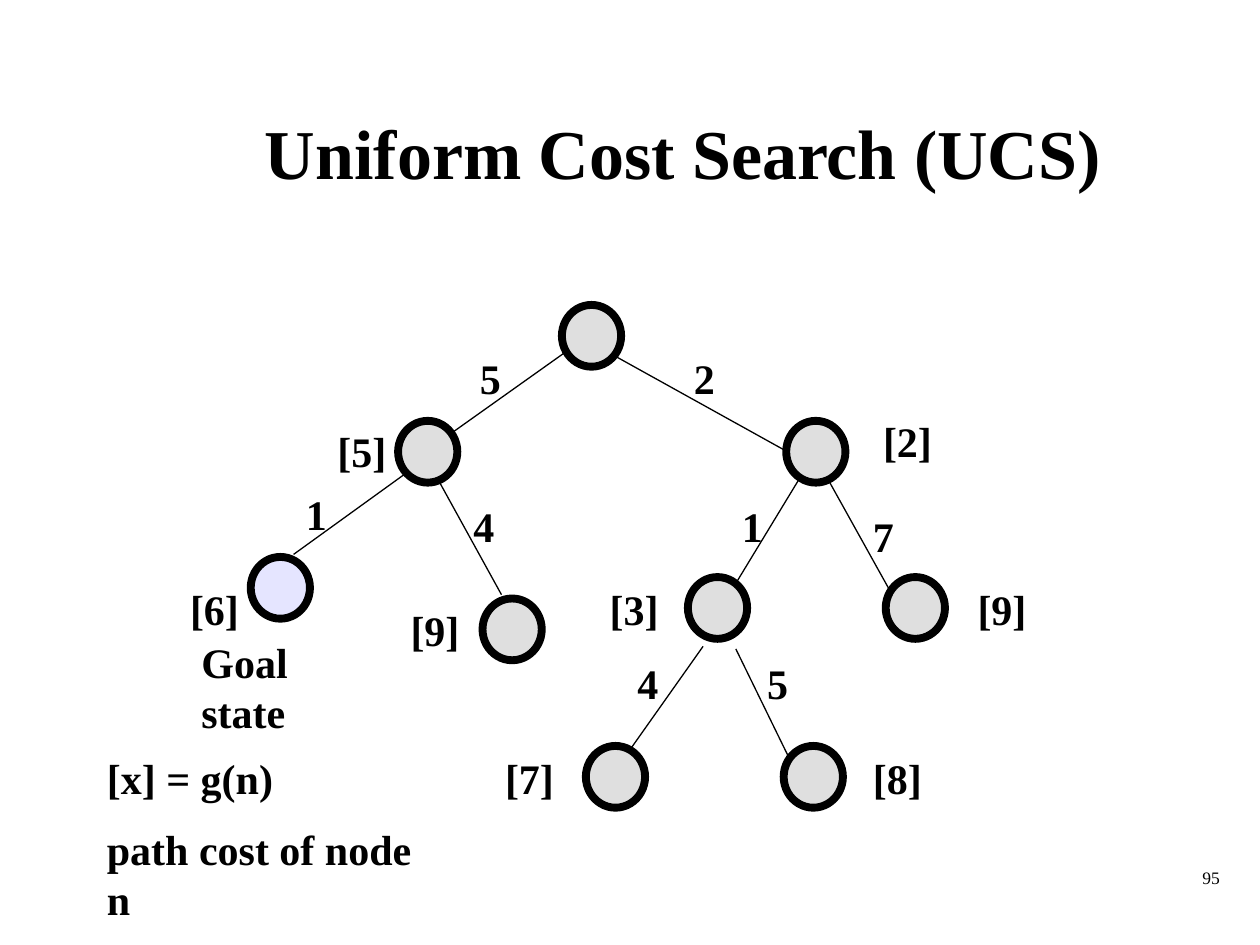
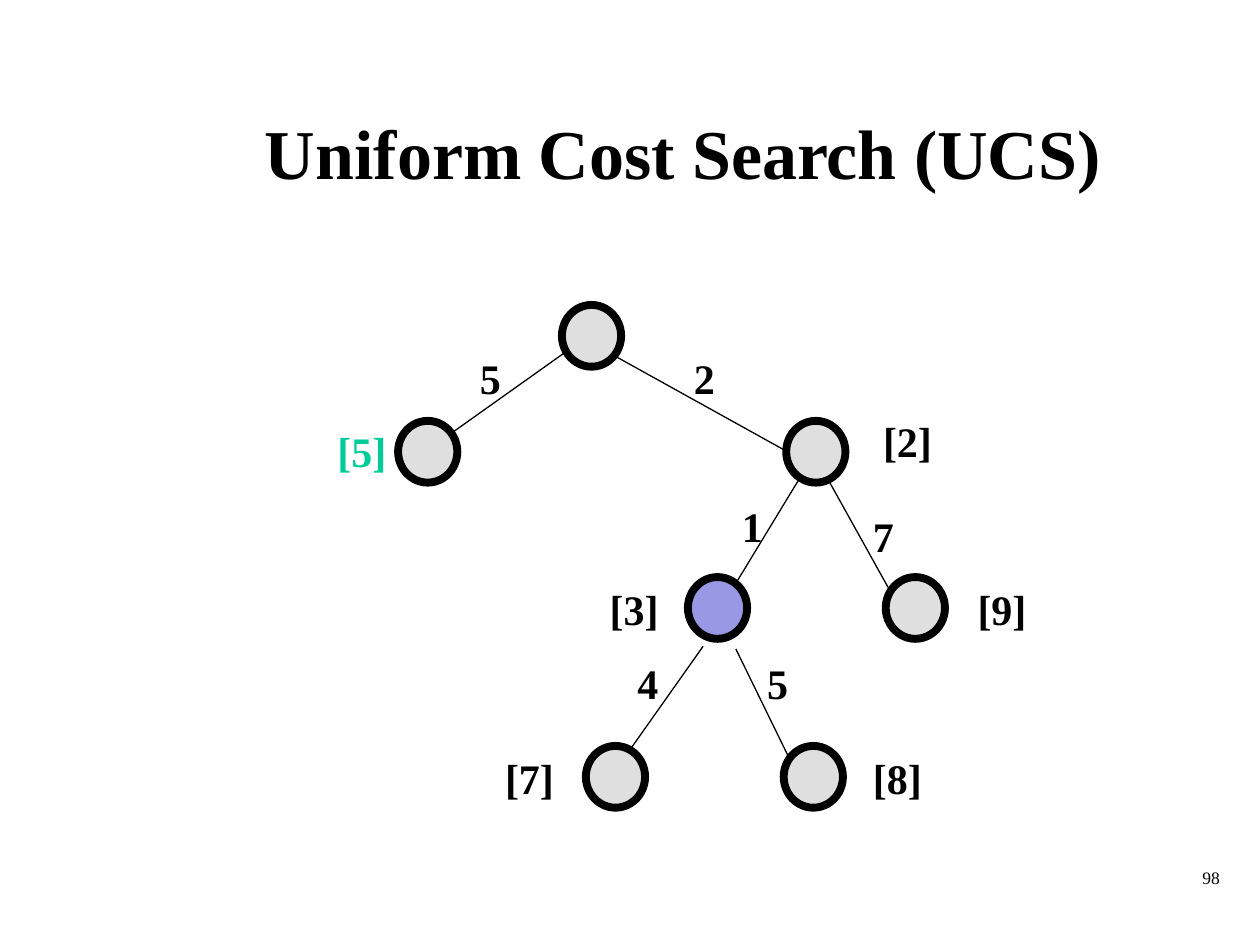
from lxml.etree import SubElement
from pptx import Presentation
from pptx.dml.color import RGBColor
from pptx.enum.shapes import MSO_CONNECTOR, MSO_SHAPE
from pptx.enum.text import MSO_ANCHOR, MSO_AUTO_SIZE, PP_ALIGN
from pptx.oxml.ns import qn
from pptx.util import Emu, Pt

PX = 9144
BLACK = RGBColor(0x00, 0x00, 0x00)
GREY = RGBColor(0xC0, 0xC0, 0xC0)
LAVENDER = RGBColor(0xCC, 0xCC, 0xFF)
BLUE = RGBColor(0x33, 0x33, 0xCC)
GREEN = RGBColor(0x00, 0xCC, 0x99)

NODE_W, NODE_H = 47, 49
COST_W, PATH_W, LABEL_H = 37, 59, 50
TITLE = "Uniform Cost Search (UCS)"
TITLE_FONT = {"name": "Times New Roman", "size": Pt(40), "bold": True}
LABEL_FONT = {"name": "Times New Roman", "size": Pt(24), "bold": True}
NUMBER_FONT = {"name": "Times New Roman", "size": Pt(10), "bold": False}

SHARED_NODES = {
    "root": (446, 242), "left": (316, 334), "right": (624, 334),
    "right-right": (703, 458), "right-left": (546, 458),
    "leaf 8": (622, 592), "leaf 7": (465, 592),
}
SHARED_EDGES = [
    (448, 280, 358, 344), (635, 379, 584, 463), (658, 382, 707, 470),
    (487, 282, 624, 358), (558, 513, 500, 595), (584, 515, 626, 601),
]
SHARED_COSTS = [
    ("2", 541, 275), ("5", 371, 275), ("1", 579, 392),
    ("7", 683, 400), ("4", 496, 517), ("5", 599, 517),
]
SHARED_PATHS = [
    ("[5]", 258, 333), ("[2]", 691, 325), ("[9]", 766, 458),
    ("[3]", 474, 458), ("[7]", 391, 592), ("[8]", 683, 592),
]
LEFT_NODES = {"goal": (199, 442), "left-right": (383, 475)}
LEFT_EDGES = [(323, 375, 233, 440), (349, 383, 398, 472)]
LEFT_COSTS = [("1", 233, 383), ("4", 366, 392)]
LEFT_PATHS = [("[9]", 316, 475), ("[6]", 141, 458)]


class Deck:
    def __init__(self):
        self.prs = Presentation()
        self.prs.slide_width = self.px(1000)
        self.prs.slide_height = self.px(750)
        self.s = None

    @staticmethod
    def px(n):
        return Emu(n * PX)

    def box(self, *lengths):
        return [self.px(n) for n in lengths]

    def fill_text(self, tf, lines, font, color=BLACK, align=PP_ALIGN.LEFT, gap=0):
        tf.auto_size = MSO_AUTO_SIZE.NONE
        for i, line in enumerate(lines):
            p = tf.paragraphs[0] if i == 0 else tf.add_paragraph()
            p.alignment = align
            if i:
                p.space_before = Pt(gap)
            r = p.add_run()
            r.text = line
            for key, value in font.items():
                setattr(r.font, key, value)
            r.font.color.rgb = color

    def slide(self, number):
        self.s = self.prs.slides.add_slide(self.prs.slide_layouts[5])
        sp = self.s.shapes.title
        sp.left, sp.top, sp.width, sp.height = self.box(117, 58, 850, 125)
        sp.text_frame.vertical_anchor = MSO_ANCHOR.MIDDLE
        self.fill_text(sp.text_frame, [TITLE], TITLE_FONT, align=PP_ALIGN.CENTER)
        self.text([number], 770, 683, 208, 50, font=NUMBER_FONT, align=PP_ALIGN.RIGHT)

    def text(self, lines, x, y, w, h, wrap=True, font=LABEL_FONT, **style):
        tf = self.s.shapes.add_textbox(*self.box(x, y, w, h)).text_frame
        tf.word_wrap = wrap
        self.fill_text(tf, lines, font, **style)

    def label(self, text, x, y, w, color=BLACK):
        self.text([text], x, y, w, LABEL_H, wrap=False, color=color)

    def node(self, x, y, color=GREY):
        sp = self.s.shapes.add_shape(MSO_SHAPE.OVAL, *self.box(x, y, NODE_W, NODE_H))
        sp.shadow.inherit = False
        sp.fill.solid()
        sp.fill.fore_color.rgb = color
        clr = sp._element.spPr.find(qn("a:solidFill"))[0]
        SubElement(clr, qn("a:alpha"), val="50000")
        sp.line.color.rgb = BLACK
        sp.line.width = Pt(4.5)

    def edge(self, *ends):
        cxn = self.s.shapes.add_connector(MSO_CONNECTOR.STRAIGHT, *self.box(*ends))
        cxn.line.color.rgb = BLACK
        cxn.line.width = Pt(0.75)
        SubElement(cxn._element.spPr, qn("a:effectLst"))

    def tree(self, nodes, edges, costs, paths, fills, path_colors):
        for name, (x, y) in nodes.items():
            self.node(x, y, fills.get(name, GREY))
        for ends in edges:
            self.edge(*ends)
        for text, x, y in costs:
            self.label(text, x, y, COST_W)
        for text, x, y in paths:
            self.label(text, x, y, PATH_W, path_colors.get(text, BLACK))


def main():
    deck = Deck()

    deck.slide("95")
    deck.tree(SHARED_NODES | LEFT_NODES, SHARED_EDGES + LEFT_EDGES,
              SHARED_COSTS + LEFT_COSTS, SHARED_PATHS + LEFT_PATHS,
              {"goal": LAVENDER}, {})
    deck.text(["[x] = g(n)", "path cost of node n"], 75, 592, 275, 85, gap=12)
    deck.text(["Goal state"], 150, 500, 158, 40)

    deck.slide("98")
    deck.tree(SHARED_NODES, SHARED_EDGES, SHARED_COSTS, SHARED_PATHS,
              {"right-left": BLUE}, {"[5]": GREEN})

    deck.prs.save("out.pptx")


if __name__ == "__main__":
    main()
